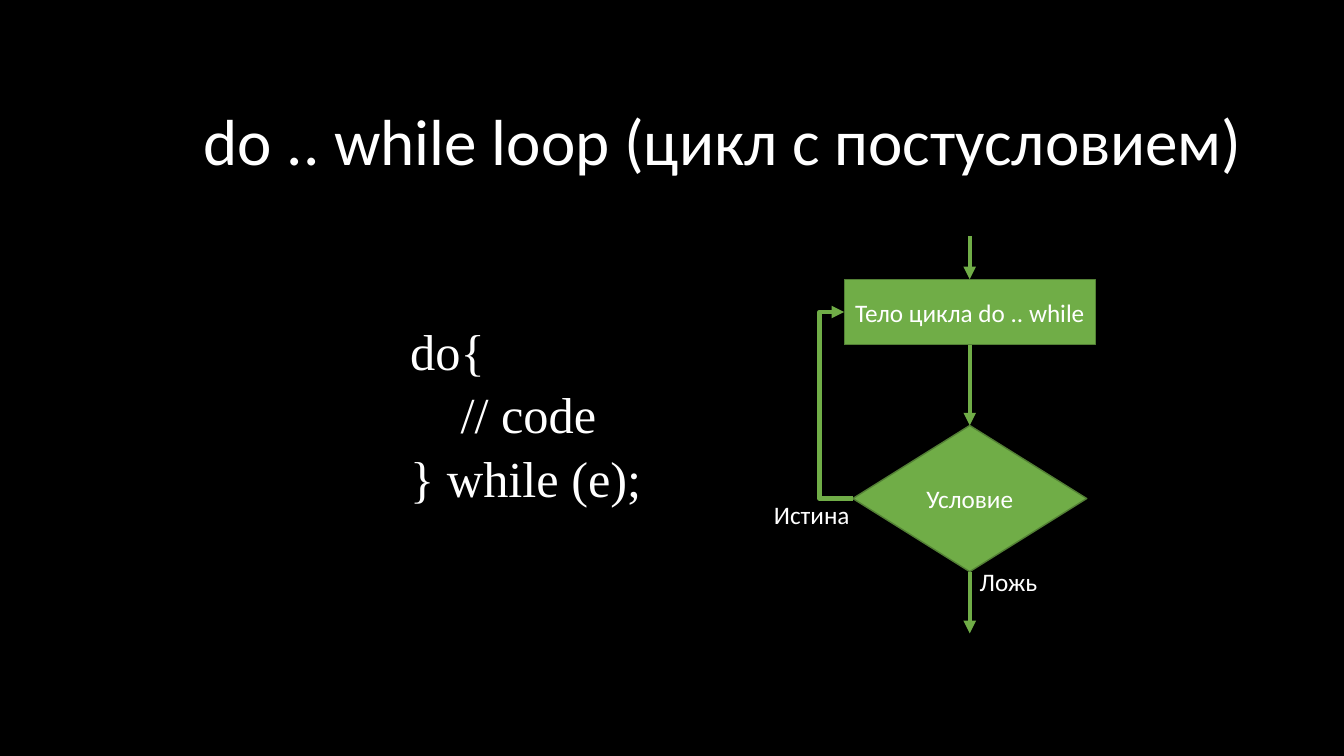
from dataclasses import dataclass

from lxml import etree
from pptx import Presentation
from pptx import util as u
from pptx.dml.color import RGBColor
from pptx.enum import shapes, text
from pptx.oxml.ns import qn

CELL = u.Emu(381000)
COLUMNS, ROWS = 32, 18
TOP, LEFT, BOTTOM = 0, 1, 2


@dataclass(frozen=True)
class Theme:
    """Colours, fonts and type sizes of the deck."""
    back: RGBColor = RGBColor(0x00, 0x00, 0x00)
    ink: RGBColor = RGBColor(0xFF, 0xFF, 0xFF)
    green: RGBColor = RGBColor(0x70, 0xAD, 0x47)
    edge: RGBColor = RGBColor(0x53, 0x80, 0x35)
    sans: str = "Calibri"
    serif: str = "Times New Roman"
    title: float = 46.5
    code: float = 36
    label: float = 18
    edge_width: float = 1
    arrow_width: float = 3


@dataclass(frozen=True)
class Box:
    """A region given in grid columns and rows."""
    left: float
    top: float
    width: float
    height: float

    def inner(self, left, top, width, height):
        """Return a box placed relative to this one."""
        return Box(self.left + left, self.top + top, width, height)

    def lengths(self):
        """Return left, top, width and height as slide lengths."""
        return [grid(n) for n in (self.left, self.top, self.width, self.height)]


THEME = Theme()


def grid(cells):
    """Convert grid cells to a slide length."""
    return u.Emu(round(cells * CELL))


def write(shape, lines, size, font=THEME.sans, align=None, spacing=None):
    """Fill a shape with paragraphs of one style."""
    frame = shape.text_frame
    frame.text = "\n".join(lines)
    for para in frame.paragraphs:
        para.alignment = align
        para.line_spacing = spacing
        para.font.size = u.Pt(size)
        para.font.name = font
        para.font.color.rgb = THEME.ink
    return frame


def add_title(page, box, words):
    """Place the title placeholder in the box."""
    title = page.shapes.title
    title.left, title.top, title.width, title.height = box.lengths()
    frame = write(title, [words], THEME.title, align=text.PP_ALIGN.CENTER, spacing=0.7)
    frame.vertical_anchor = text.MSO_ANCHOR.BOTTOM
    frame.auto_size = text.MSO_AUTO_SIZE.NONE


def add_code(page, box, lines):
    """Place a code listing in the box."""
    listing = page.shapes.add_textbox(*box.lengths())
    write(listing, lines, THEME.code, THEME.serif, spacing=1.05).word_wrap = True


def add_label(page, box, words):
    """Place a branch label in the box."""
    label = page.shapes.add_textbox(*box.lengths())
    write(label, [words], THEME.label).word_wrap = False


def add_node(page, kind, box, words):
    """Draw a flowchart node with centred text."""
    node = page.shapes.add_shape(kind, *box.lengths())
    node.shadow.inherit = False
    node.fill.solid()
    node.fill.fore_color.rgb = THEME.green
    node.line.color.rgb = THEME.edge
    node.line.width = u.Pt(THEME.edge_width)
    frame = write(node, [words], THEME.label, align=text.PP_ALIGN.CENTER)
    frame.vertical_anchor = text.MSO_ANCHOR.MIDDLE
    frame.word_wrap = False
    return node


def add_arrow(page, start, end, kind=shapes.MSO_CONNECTOR.STRAIGHT):
    """Draw an arrow between two points of the slide."""
    arrow = page.shapes.add_connector(kind, *start, *end)
    arrow.line.color.rgb = THEME.green
    arrow.line.width = u.Pt(THEME.arrow_width)
    etree.SubElement(arrow.line._get_or_add_ln(), qn("a:tailEnd"), type="triangle")
    etree.SubElement(arrow._element.spPr, qn("a:effectLst"))
    return arrow


def add_loop_back(page, condition, body, lane):
    """Draw the elbow arrow that returns to the body along a lane."""
    start = condition.left, condition.top + condition.height // 2
    end = body.left, body.top + body.height // 2
    arrow = add_arrow(page, start, end, shapes.MSO_CONNECTOR.ELBOW)
    bend = round((start[0] - lane) / (start[0] - end[0]) * 100000)
    guides = arrow._element.spPr.find(qn("a:prstGeom")).get_or_add_avLst()
    etree.SubElement(guides, qn("a:gd"), name="adj1", fmla=f"val {bend}")


def add_flowchart(page, box):
    """Draw the loop with its condition after the body."""
    axis, body_width, condition_width = 4.9, 5.98, 5.57
    middle = grid(box.left + axis)
    condition = add_node(
        page, shapes.MSO_SHAPE.DIAMOND,
        box.inner(axis - condition_width / 2, 4.51, condition_width, 3.48), "Условие")
    body = add_node(
        page, shapes.MSO_SHAPE.RECTANGLE,
        box.inner(axis - body_width / 2, 1.03, body_width, 1.56), "Тело цикла do .. while")

    entry = add_arrow(page, (middle, grid(box.top)), (middle, body.top))
    entry.end_connect(body, TOP)
    step = add_arrow(page, (middle, body.top + body.height), (middle, condition.top))
    step.begin_connect(body, BOTTOM)
    step.end_connect(condition, TOP)
    leave = add_arrow(page, (middle, condition.top + condition.height),
                      (middle, grid(box.top + box.height)))
    leave.begin_connect(condition, BOTTOM)
    add_loop_back(page, condition, body, grid(box.left + 1.32))

    add_label(page, box.inner(axis, 7.75, 1.87, 0.96), "Ложь")
    add_label(page, box.inner(0, 6.14, 2.3, 0.96), "Истина")


def main():
    """Build the slide and save the deck."""
    deck = Presentation()
    deck.slide_width, deck.slide_height = grid(COLUMNS), grid(ROWS)
    page = deck.slides.add_slide(deck.slide_layouts.get_by_name("Title Only"))
    page.background.fill.solid()
    page.background.fill.fore_color.rgb = THEME.back
    add_title(page, Box(4.51, 1.27, 25.39, 3.05), "do .. while loop (цикл с постусловием)")
    add_code(page, Box(9.53, 7.42, 8.3, 4.61), ["do{", "\t// code", "} while (e);"])
    add_flowchart(page, Box(18.19, 5.62, 7.9, 9.46))
    deck.save("out.pptx")


if __name__ == "__main__":
    main()
